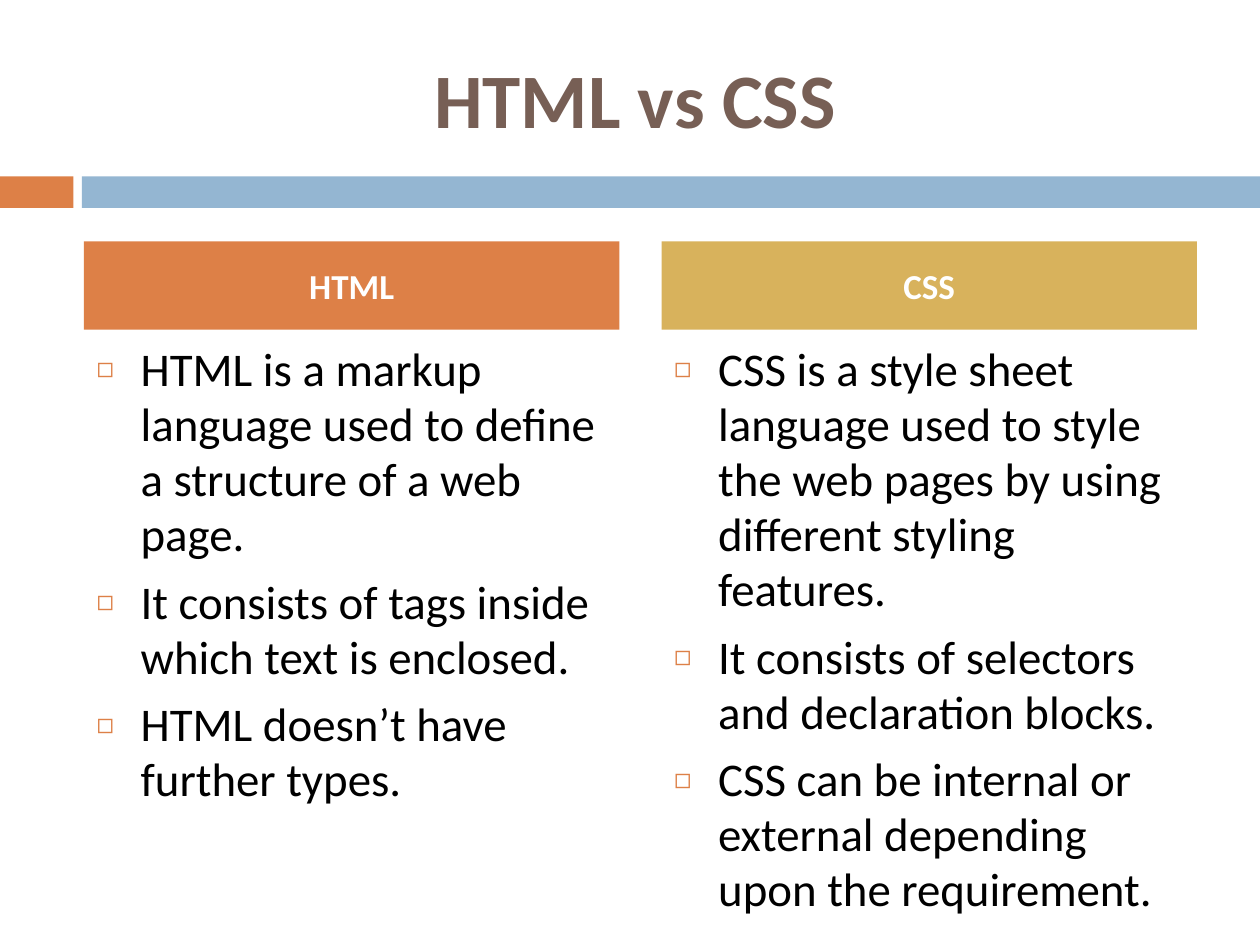
from lxml import etree
from pptx import Presentation
from pptx.dml.color import RGBColor
from pptx.enum.shapes import MSO_SHAPE
from pptx.enum.text import MSO_ANCHOR, MSO_AUTO_SIZE, PP_ALIGN
from pptx.oxml.ns import qn
from pptx.util import Pt

RECT = MSO_SHAPE.RECTANGLE
TOP, MIDDLE = MSO_ANCHOR.TOP, MSO_ANCHOR.MIDDLE
LEFT, CENTER = PP_ALIGN.LEFT, PP_ALIGN.CENTER
NO_FIT = MSO_AUTO_SIZE.NONE

ORANGE = RGBColor(0xDD, 0x80, 0x47)
BLUE = RGBColor(0x94, 0xB6, 0xD2)
GOLD = RGBColor(0xD8, 0xB2, 0x5C)
BROWN = RGBColor(0x77, 0x5F, 0x55)
BLACK = RGBColor(0, 0, 0)
WHITE = RGBColor(0xFF, 0xFF, 0xFF)

COLUMNS = [
    ("HTML", ORANGE, [
        "HTML is a markup language used to define a structure of a web page.",
        "It consists of tags inside which text is enclosed.",
        "HTML doesn’t have further types.",
    ]),
    ("CSS", GOLD, [
        "CSS is a style sheet language used to style the web pages by using "
        "different styling features.",
        "It consists of selectors and declaration blocks.",
        "CSS can be internal or external depending upon the requirement.",
    ]),
]


def place(sp, x, y, w, h):
    sp.left, sp.top, sp.width, sp.height = Pt(x), Pt(y), Pt(w), Pt(h)


def add_bullet(p):
    pPr = p._p.get_or_add_pPr()
    pPr.set("marL", str(Pt(25.2)))
    pPr.set("indent", str(-Pt(25.2)))
    color = etree.SubElement(pPr, qn("a:buClr"))
    etree.SubElement(color, qn("a:srgbClr"), val=str(ORANGE))
    etree.SubElement(pPr, qn("a:buSzPct"), val="60000")
    etree.SubElement(pPr, qn("a:buChar"), char="◻")


def write(sp, lines, size, color, bold=False, align=LEFT, anchor=TOP,
          before=0, spacing=1.0, bullet=False):
    tf = sp.text_frame
    tf.word_wrap = True
    tf.auto_size = NO_FIT
    tf.vertical_anchor = anchor
    for i, line in enumerate(lines):
        p = tf.add_paragraph() if i else tf.paragraphs[0]
        p.alignment = align
        p.space_before = Pt(before)
        p.line_spacing = spacing
        if bullet:
            add_bullet(p)
        r = p.add_run()
        r.text = line
        r.font.name = "Calibri"
        r.font.size = Pt(size)
        r.font.bold = bold
        r.font.color.rgb = color


def add_band(s, x, y, w, h):
    accent, gap = 42, 4.8
    start = accent + gap
    for left, width, color in ((x, accent, ORANGE),
                               (x + start, w - start, BLUE)):
        sp = s.shapes.add_shape(RECT, Pt(left), Pt(y), Pt(width), Pt(h))
        sp.shadow.inherit = False
        sp.fill.solid()
        sp.fill.fore_color.rgb = color
        sp.line.fill.background()


def fill_title(title, x, y, w, h):
    place(title, x, y, w, h)
    write(title, ["HTML vs CSS"], 44, BROWN, bold=True, align=CENTER,
          anchor=MIDDLE)


def fill_column(header, body, column, x, y, w, h):
    name, color, points = column
    header_h, gap = 50.4, 3.6
    body_y = header_h + gap
    place(header, x, y, w, header_h)
    header.fill.solid()
    header.fill.fore_color.rgb = color
    write(header, [name], 20, WHITE, bold=True, align=CENTER, anchor=MIDDLE,
          before=7)
    place(body, x, y + body_y, w, h - body_y)
    write(body, points, 26.8, BLACK, before=7, spacing=0.98, bullet=True)


def main():
    prs = Presentation()
    prs.slide_width, prs.slide_height = Pt(720), Pt(540)
    s = prs.slides.add_slide(prs.slide_layouts[4])
    add_band(s, 0, 100.8, 720, 18)
    fill_title(s.shapes.title, 42, 21.6, 642, 68.4)
    ph = s.placeholders
    for i, column in enumerate(COLUMNS):
        header, body = ph[1 + 2 * i], ph[2 + 2 * i]
        fill_column(header, body, column, 48 + 330 * i, 138, 306, 336)
    prs.save("out.pptx")


if __name__ == "__main__":
    main()
